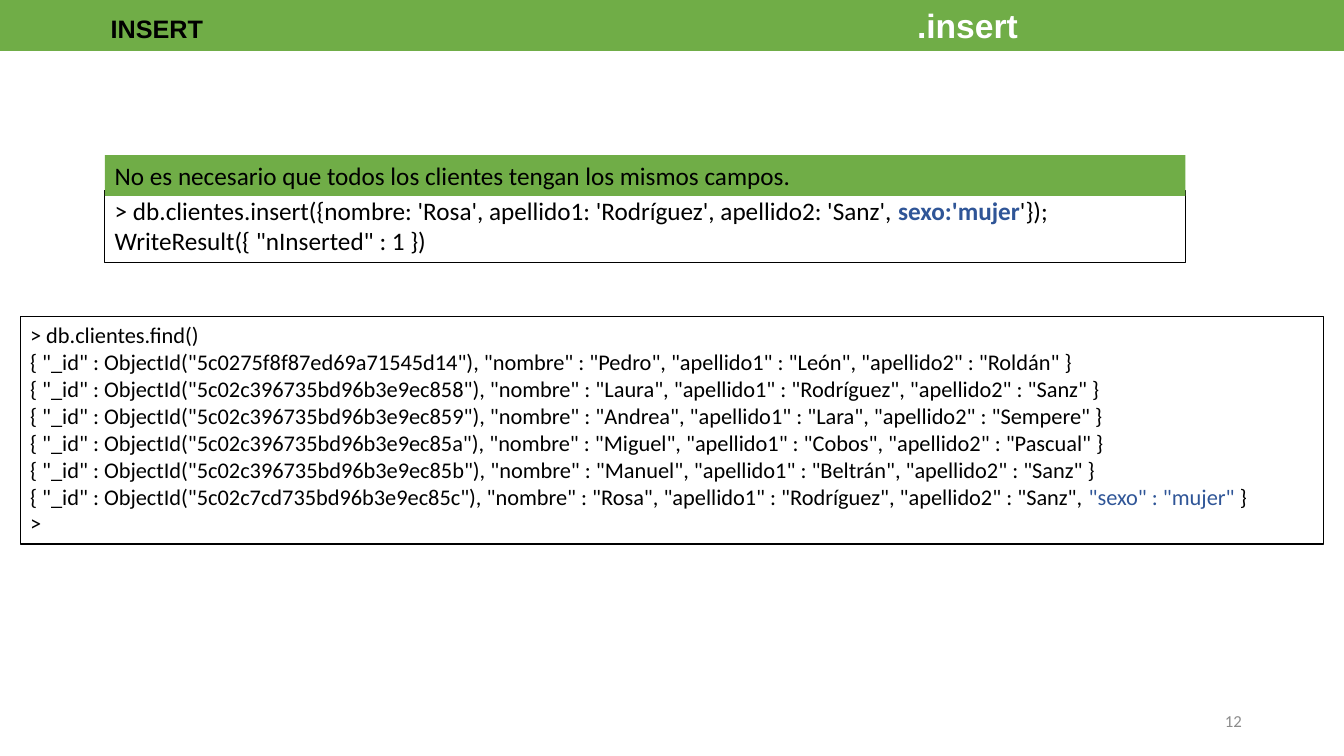
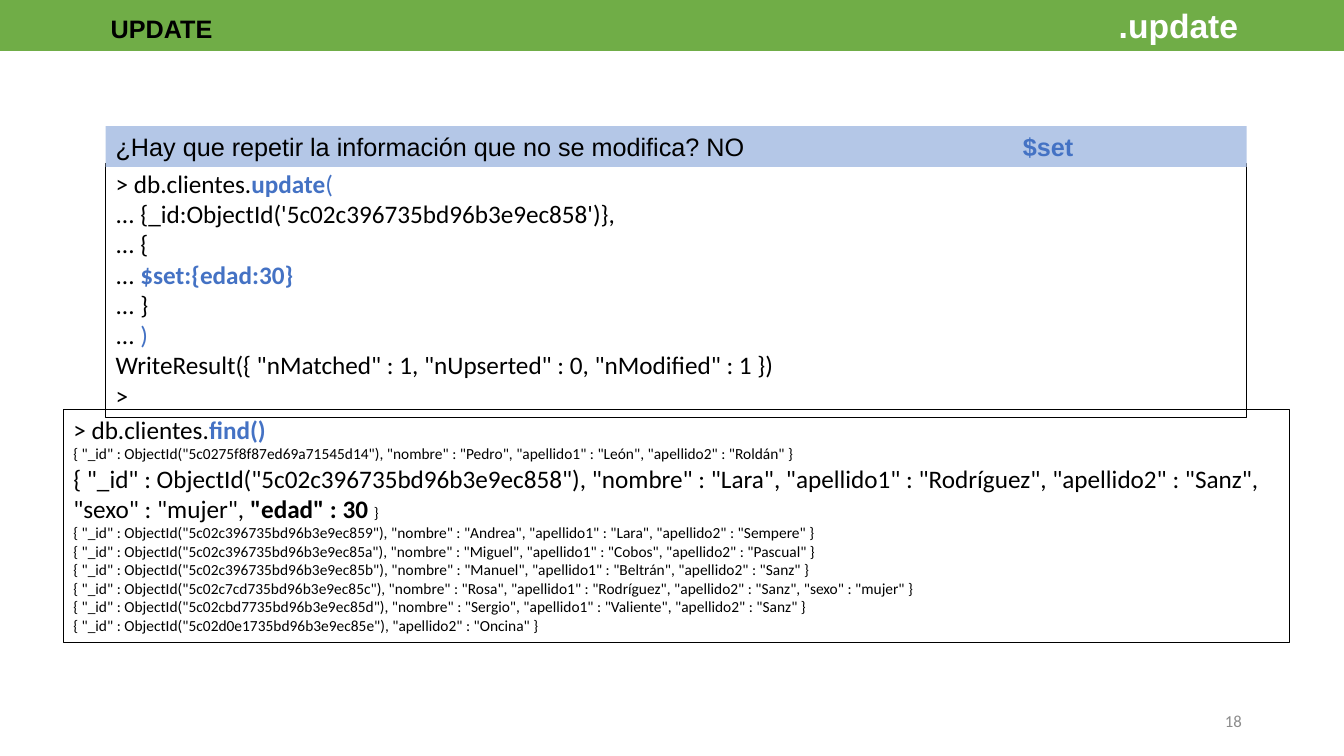
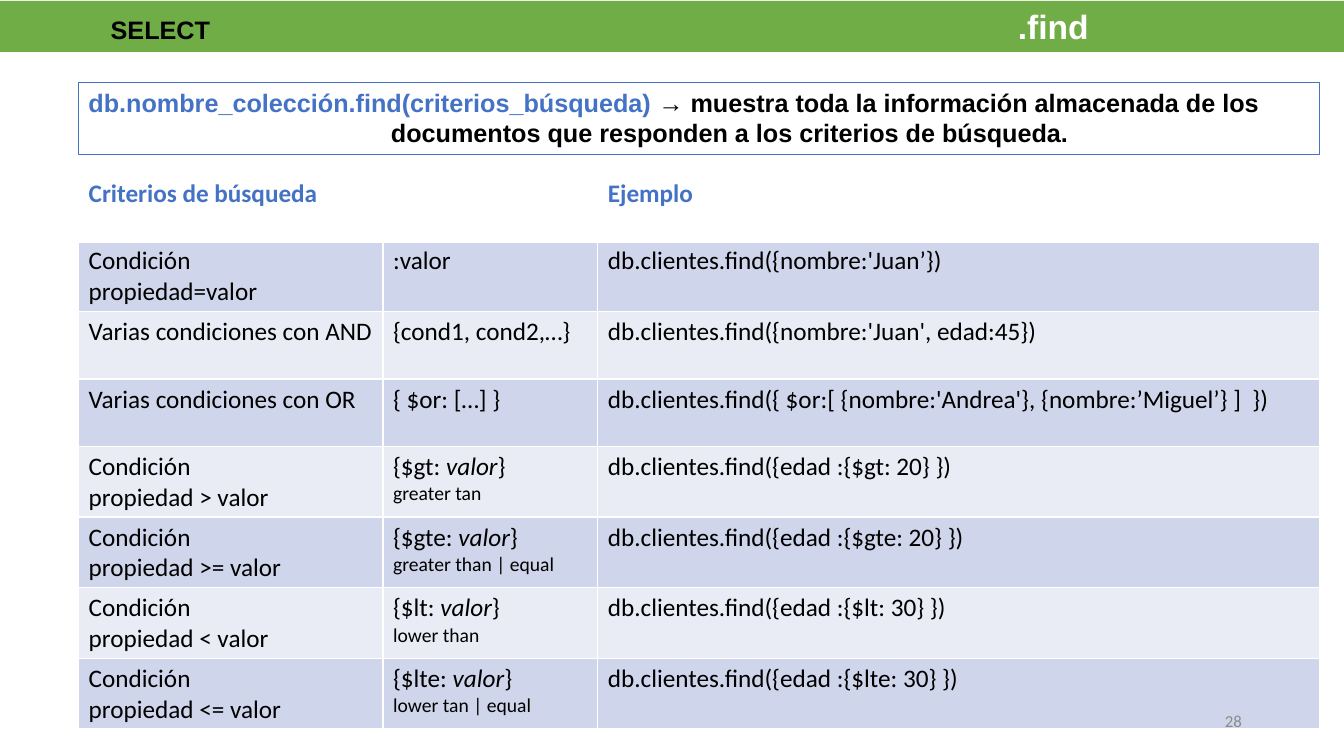
from lxml import etree
from pptx import Presentation
from pptx.dml.color import RGBColor
from pptx.enum.shapes import MSO_SHAPE
from pptx.enum.text import MSO_ANCHOR, MSO_AUTO_SIZE, PP_ALIGN
from pptx.oxml.ns import qn
from pptx.util import Inches, Pt

RECT = MSO_SHAPE.RECTANGLE
TOP, MIDDLE = MSO_ANCHOR.TOP, MSO_ANCHOR.MIDDLE
LEFT, RIGHT = PP_ALIGN.LEFT, PP_ALIGN.RIGHT
FIT = MSO_AUTO_SIZE.SHAPE_TO_FIT_TEXT

WIDTH, HEIGHT = Inches(13.333), Inches(7.5)
COLORS = {
    "green": "70AD47", "blue": "4472C4", "navy": "2F5597", "pale": "B4C7E7",
    "black": "000000", "white": "FFFFFF", "gray": "8C8C8C",
    "odd_row": "CFD5EA", "even_row": "E9EBF5",
}
BLUE_BOLD = {"color": "blue", "bold": True}
SMALL = {"size": 11}


def rgb(name):
    return RGBColor.from_string(COLORS[name])


def area(left, top, width, height):
    """Turn percentages of the slide's size into lengths."""
    return [int(share * side / 100) for share, side in
            zip((left, top, width, height), (WIDTH, HEIGHT) * 2)]


def add_tab_stops(paragraph, stops):
    tabs = etree.SubElement(paragraph._p.get_or_add_pPr(), qn("a:tabLst"))
    for stop in stops:
        etree.SubElement(tabs, qn("a:tab"), pos=str(Inches(stop)), algn="l")


def write(frame, lines, align=LEFT, tabs=(), **base):
    """Write lines; each is a string or a list of strings and (text, format) pairs."""
    for number, line in enumerate(lines):
        paragraph = frame.add_paragraph() if number else frame.paragraphs[0]
        paragraph.alignment = align
        if tabs:
            add_tab_stops(paragraph, tabs)
        for part in [line] if isinstance(line, str) else line:
            text, changes = (part, {}) if isinstance(part, str) else part
            look = {"size": 18, "font": "Calibri", "color": "black",
                    "bold": False, "italic": False, **base, **changes}
            run = paragraph.add_run()
            run.text = text
            run.font.size = Pt(look["size"])
            run.font.name = look["font"]
            run.font.color.rgb = rgb(look["color"])
            run.font.bold = look["bold"]
            run.font.italic = look["italic"]


def add_box(slide, place, lines, fill=None, line=None, **look):
    box = slide.shapes.add_shape(RECT, *area(*place))
    box.shadow.inherit = False
    if fill:
        box.fill.solid()
        box.fill.fore_color.rgb = rgb(fill)
    else:
        box.fill.background()
    if line:
        box.line.color.rgb = rgb(line)
        box.line.width = Pt(0.75)
    else:
        box.line.fill.background()
    frame = box.text_frame
    frame.word_wrap = True
    frame.auto_size = FIT
    frame.vertical_anchor = TOP
    write(frame, lines, **look)


def add_frame(slide, operation, method, method_tab, number, top=0):
    """Add the title band and the page number."""
    title = ["\t" + operation + "\t", (method, {"size": 24, "color": "white"})]
    add_box(slide, (0, top, 100, 6.73), [title], fill="green",
            tabs=(1, method_tab), font="Arial", bold=True)
    footer = slide.shapes.add_textbox(*area(70.65, 92.67, 22.5, 5.33)).text_frame
    footer.word_wrap = True
    footer.vertical_anchor = MIDDLE
    write(footer, [str(number)], align=RIGHT, size=12, color="gray")


def style_cell(cell, fill, bottom):
    cell.fill.solid()
    cell.fill.fore_color.rgb = rgb(fill)
    properties = cell._tc.get_or_add_tcPr()
    for place, side in enumerate("LRTB"):
        edge = etree.Element(qn("a:ln" + side),
                             w=str(Pt(bottom if side == "B" else 1)))
        solid = etree.SubElement(edge, qn("a:solidFill"))
        etree.SubElement(solid, qn("a:srgbClr"), val=COLORS["white"])
        properties.insert(place, edge)


def add_criteria_table(slide, rows):
    columns, row_height = (22.65, 15.98, 53.7), 8.93
    place = area(5.85, 22.93, sum(columns), row_height * len(rows))
    table = slide.shapes.add_table(len(rows), len(columns), *place).table
    for column, share in zip(table.columns, columns):
        column.width = int(WIDTH * share / 100)
    for r, row in enumerate(rows):
        table.rows[r].height = int(HEIGHT * row_height / 100)
        fill = ("odd_row" if r % 2 else "even_row") if r else "white"
        for c, lines in enumerate(row):
            cell = table.cell(r, c)
            write(cell.text_frame, lines, **({} if r else BLUE_BOLD))
            style_cell(cell, fill, bottom=1 if r else 3)


def document(key, **fields):
    """Give a stored document as the shell prints it, without the closing brace."""
    pairs = [f'"{name}" : "{value}"' for name, value in fields.items()]
    return ", ".join([f'{{ "_id" : ObjectId("{key}")'] + pairs)


def client(key, nombre, apellido1, apellido2):
    return document(key, nombre=nombre, apellido1=apellido1, apellido2=apellido2)


LAURA_ID = "5c02c396735bd96b3e9ec858"
PEDRO = client("5c0275f8f87ed69a71545d14", "Pedro", "León", "Roldán")
OTHERS = [client("5c02c396735bd96b3e9ec859", "Andrea", "Lara", "Sempere"),
          client("5c02c396735bd96b3e9ec85a", "Miguel", "Cobos", "Pascual"),
          client("5c02c396735bd96b3e9ec85b", "Manuel", "Beltrán", "Sanz")]
ROSA = client("5c02c7cd735bd96b3e9ec85c", "Rosa", "Rodríguez", "Sanz")


def build_insert(slide):
    add_box(slide, (7.8, 25.2, 80.4, 9.47), [
        ["> db.clientes.insert({nombre: 'Rosa', apellido1: 'Rodríguez', apellido2: 'Sanz', ",
         ("sexo:'mujer", {"color": "navy", "bold": True}), "'});"],
        'WriteResult({ "nInserted" : 1 })',
    ], line="black")
    add_box(slide, (7.8, 20.53, 80.4, 5.39),
            ["No es necesario que todos los clientes tengan los mismos campos."],
            fill="green")
    laura = client(LAURA_ID, "Laura", "Rodríguez", "Sanz")
    listing = [text + " }" for text in [PEDRO, laura, *OTHERS]]
    rosa = [ROSA + ", ", ('"sexo" : "mujer"', {"color": "navy"}), " }"]
    add_box(slide, (1.5, 41.87, 97, 30.1),
            ["> db.clientes.find()", *listing, rosa, ">"], line="black", size=16)
    add_frame(slide, "INSERT", ".insert", 9, 12)


def build_update(slide):
    add_box(slide, (7.87, 21.6, 84.9, 33.6), [
        ["> db.clientes.", ("update", BLUE_BOLD), ("(", {"color": "blue"})],
        f"... {{_id:ObjectId('{LAURA_ID}')}},",
        "... {",
        ["... ", ("$set:{edad:30}", BLUE_BOLD)],
        "... }",
        ["... ", (")", {"color": "blue"})],
        'WriteResult({ "nMatched" : 1, "nUpserted" : 0, "nModified" : 1 })',
        ">",
    ], line="black")
    add_box(slide, (7.87, 16.67, 84.9, 5.39),
            [["¿Hay que repetir la información que no se modifica? NO\t",
              ("$set", BLUE_BOLD)]],
            fill="pale", tabs=(9,), font="Arial")
    woman = ', "sexo" : "mujer"'
    lara = client(LAURA_ID, "Lara", "Rodríguez", "Sanz") + woman + ", "
    sergio = client("5c02cbd7735bd96b3e9ec85d", "Sergio", "Valiente", "Sanz")
    oncina = document("5c02d0e1735bd96b3e9ec85e", apellido2="Oncina")
    unchanged = [[(text + " }", SMALL)] for text in
                 [*OTHERS, ROSA + woman, sergio, oncina]]
    add_box(slide, (4.72, 54.13, 91.2, 30.8), [
        ["> db.clientes.", ("find()", BLUE_BOLD)],
        [(PEDRO + " }", SMALL)],
        [lara, ('"edad" : 30 ', {"bold": True}), ("}", SMALL)],
        *unchanged,
    ], line="black")
    add_frame(slide, "UPDATE", ".update", 11, 18)


def build_select(slide):
    rows = [
        (["Criterios de búsqueda"], [], ["Ejemplo"]),
        (["Condición", "propiedad=valor"], [":valor"],
         ["db.clientes.find({nombre:'Juan’})"]),
        (["Varias condiciones con AND"], ["{cond1, cond2,…}"],
         ["db.clientes.find({nombre:'Juan', edad:45})"]),
        (["Varias condiciones con OR"], ["{ $or: […] }"],
         ["db.clientes.find({ $or:[ {nombre:'Andrea'}, {nombre:’Miguel’} ]  })"]),
    ]
    comparisons = [("$gt", ">", "greater tan", 20),
                   ("$gte", ">=", "greater than | equal", 20),
                   ("$lt", "<", "lower than", 30),
                   ("$lte", "<=", "lower tan | equal", 30)]
    for operator, sign, meaning, age in comparisons:
        rows.append((
            ["Condición", f"propiedad {sign} valor"],
            [[f"{{{operator}: ", ("valor", {"italic": True}), "}"],
             [(meaning, {"size": 14})]],
            [f"db.clientes.find({{edad :{{{operator}: {age}}} }})"]))
    add_criteria_table(slide, rows)
    add_box(slide, (5.85, 10.93, 92.33, 9.47), [
        [("db.nombre_colección.find(criterios_búsqueda) ", BLUE_BOLD),
         "→ muestra toda la información almacenada de los"],
        "\tdocumentos que responden a los criterios de búsqueda.",
    ], line="blue", tabs=(3,), font="Arial", bold=True)
    add_frame(slide, "SELECT", ".find", 10, 28, top=0.13)


def main():
    deck = Presentation()
    deck.slide_width, deck.slide_height = WIDTH, HEIGHT
    blank = deck.slide_layouts[6]
    for build in (build_insert, build_update, build_select):
        build(deck.slides.add_slide(blank))
    deck.save("out.pptx")


if __name__ == "__main__":
    main()
